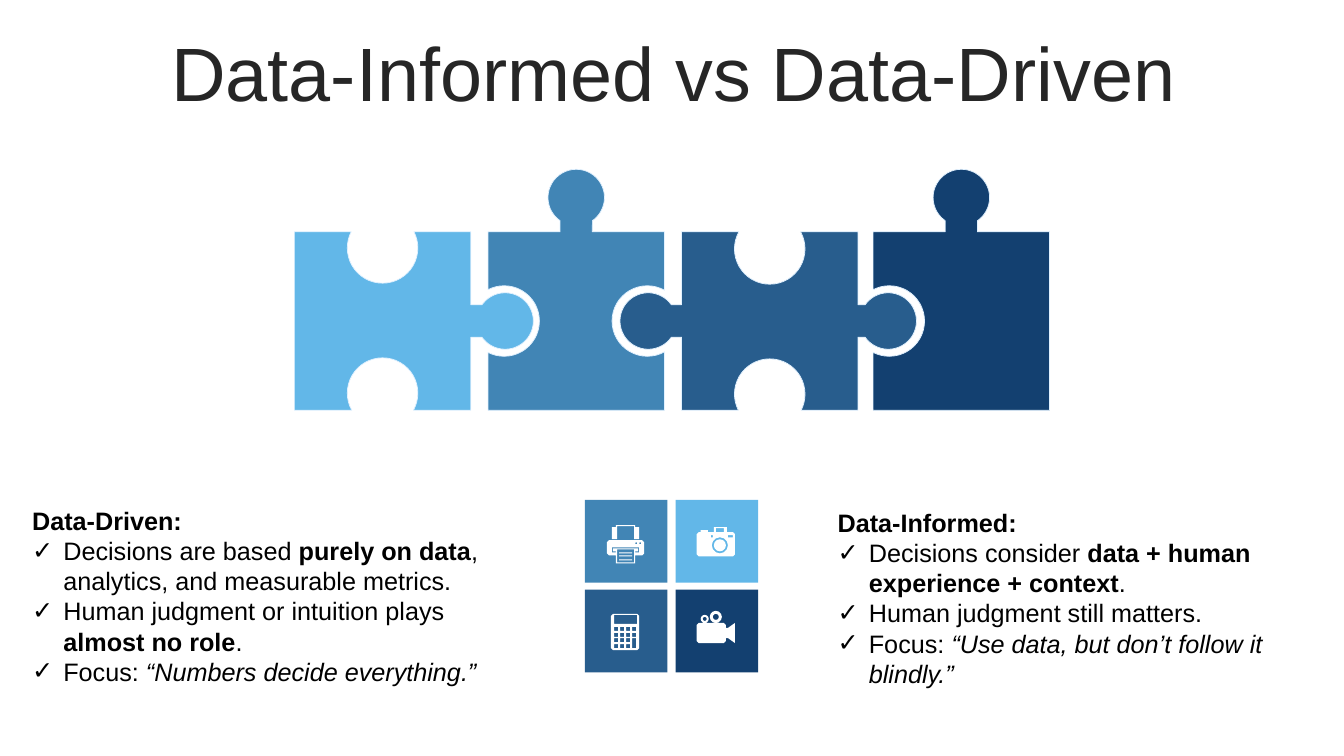
from math import asin, cos, degrees, pi, sin, sqrt
from lxml.etree import SubElement
from pptx import Presentation
from pptx.dml.color import RGBColor
from pptx.enum.shapes import MSO_SHAPE
from pptx.enum.text import MSO_ANCHOR, MSO_AUTO_SIZE, PP_ALIGN
from pptx.oxml.ns import qn
from pptx.util import Inches, Pt

FONT = "Arial"
TITLE = "Data-Informed vs Data-Driven"
SKY, STEEL, DENIM, NAVY = "62B7E8", "4185B5", "285D8D", "134070"
WHITE, EDGE = "FFFFFF", "E1F1FF"

# Heading, box (left, top, width, height), bullets as runs of (text, style)
NOTES = [
    ("Data-Driven:", (0.22, 4.96, 4.89, 2.22), [
        [("Decisions are based ", ""), ("purely on data", "b"),
         (", analytics, and measurable metrics.", "")],
        [("Human judgment or intuition plays ", ""), ("almost no role", "b"), (".", "")],
        [("Focus: ", ""), ("“Numbers decide everything.”", "i")],
    ]),
    ("Data-Informed:", (8.21, 4.98, 4.74, 2.22), [
        [("Decisions consider ", ""), ("data + human experience + context", "b"), (".", "")],
        [("Human judgment still matters.", "")],
        [("Focus: ", ""), ("“Use data, but don’t follow it blindly.”", "i")],
    ]),
]

# Left edge, colour, knob centre beyond the top, right, bottom and left side:
# positive is a tab, negative a socket, zero a plain side
PIECES = [
    (2.92, SKY, (-0.16, 0.34, -0.17, 0)),
    (4.84, STEEL, (0.34, -0.17, 0, -0.16)),
    (6.76, DENIM, (-0.17, 0.3, -0.16, 0.33)),
    (8.66, NAVY, (0.34, 0, 0, -0.16)),
]
PIECE_TOP, PIECE_W, PIECE_H = 2.3, 1.75, 1.77
TAB_R, SOCKET_R, NECK = 0.28, 0.35, 0.16

# Outlines inside a tile: (x, y, radius) is a disc, (left, top, width, height)
# a box, a list a polygon; an outline within another is a hole
PRINTER = [
    [(0.31, 0.25), (0.5, 0.25), (0.5, 0.27), (0.54, 0.27), (0.54, 0.39), (0.49, 0.39),
     (0.49, 0.26), (0.32, 0.26), (0.32, 0.39), (0.27, 0.39), (0.27, 0.27), (0.31, 0.27)],
    [(0.24, 0.4), (0.57, 0.4), (0.59, 0.42), (0.59, 0.53), (0.57, 0.55), (0.5, 0.55),
     (0.5, 0.63), (0.31, 0.63), (0.31, 0.55), (0.24, 0.55), (0.22, 0.53), (0.22, 0.42)],
    [(0.27, 0.47), (0.54, 0.47), (0.54, 0.52), (0.5, 0.52), (0.5, 0.51), (0.53, 0.51),
     (0.53, 0.48), (0.28, 0.48), (0.28, 0.51), (0.31, 0.51), (0.31, 0.52), (0.27, 0.52)],
    (0.51, 0.43, 0.01), (0.55, 0.43, 0.01),
    (0.32, 0.49, 0.17, 0.13),
    *[(0.34, top, 0.13, 0.01) for top in (0.52, 0.55, 0.59)],
]
CAMERA = [
    [(0.23, 0.32), (0.57, 0.32), (0.59, 0.34), (0.59, 0.54), (0.57, 0.56), (0.23, 0.56),
     (0.21, 0.54), (0.21, 0.34)],
    (0.25, 0.3, 0.07, 0.02), (0.38, 0.27, 0.13, 0.05), (0.4, 0.28, 0.08, 0.04),
    (0.44, 0.45, 0.08), (0.44, 0.45, 0.06),
    (0.35, 0.35, 0.02, 0.02), (0.52, 0.35, 0.05, 0.02),
]
KEY_ROWS = (0.37, 0.43, 0.48, 0.54)
CALCULATOR = [
    [(0.28, 0.24), (0.52, 0.24), (0.54, 0.26), (0.54, 0.58), (0.52, 0.6), (0.28, 0.6),
     (0.26, 0.58), (0.26, 0.26)],
    (0.29, 0.25, 0.23, 0.09),
    *[(left, top, 0.04, 0.04) for top in KEY_ROWS for left in (0.29, 0.35, 0.41)],
    *[(0.47, top, 0.04, 0.04) for top in KEY_ROWS[:2]],
    (0.47, KEY_ROWS[2], 0.04, 0.1),
]
FILM_CAMERA = [
    [(0.23, 0.33), (0.48, 0.33), (0.5, 0.35), (0.5, 0.38), (0.52, 0.38), (0.59, 0.33),
     (0.59, 0.53), (0.52, 0.48), (0.5, 0.48), (0.5, 0.51), (0.48, 0.53), (0.23, 0.53),
     (0.21, 0.51), (0.21, 0.35)],
    (0.4, 0.27, 0.06), (0.4, 0.27, 0.03), (0.29, 0.29, 0.04), (0.29, 0.29, 0.02),
]
TILES = [[(STEEL, PRINTER), (SKY, CAMERA)], [(DENIM, CALCULATOR), (NAVY, FILM_CAMERA)]]
TILE_LEFT, TILE_TOP, TILE, COLUMN, ROW = 5.8, 4.96, 0.82, 0.9, 0.89


def rgb(colour):
    return RGBColor.from_string(colour)


def paint(shape, colour, edge=None):
    shape.shadow.inherit = False
    shape.fill.solid()
    shape.fill.fore_color.rgb = rgb(colour)
    if edge:
        shape.line.color.rgb = rgb(edge)
        shape.line.width = Pt(0.5)
    else:
        shape.line.fill.background()


def arc(x, y, radius, angles):
    """Points at the angles; all but the first carry (radius, start, sweep)."""
    points = [(x + radius * cos(a), y + radius * sin(a)) for a in angles]
    bends = [(radius, a, b - a) for a, b in zip(angles, angles[1:])]
    return points[:1] + [(*point, bend) for point, bend in zip(points[1:], bends)]


def outline(part):
    """Points of a disc, box or polygon."""
    if isinstance(part, list):
        return part
    if len(part) == 3:
        return arc(*part, [i * pi / 2 for i in range(5)])
    left, top, width, height = part
    right, bottom = left + width, top + height
    return [(left, top), (right, top), (right, bottom), (left, bottom)]


def draw(shapes, outlines, left=0, top=0):
    """One freeform made of closed outlines, with its arcs bent."""
    builder, bends = None, []
    for points in outlines:
        bends += [point[2:] for point in points[1:]]
        spots = [(Inches(left + x), Inches(top + y)) for x, y, *_ in points]
        if builder is None:
            builder = shapes.build_freeform(*spots[0])
        else:
            builder.move_to(*spots[0])
        builder.add_line_segments(spots[1:], close=True)
    shape = builder.convert_to_shape()
    for segment, bend in zip(list(shape._element.iter(qn("a:lnTo"))), bends):
        if bend:
            radius, start, sweep = bend[0]
            curve = segment.makeelement(qn("a:arcTo"), {
                "wR": str(Inches(radius)), "hR": str(Inches(radius)),
                "stAng": str(round(degrees(start) % 360 * 60000)),
                "swAng": str(round(degrees(sweep) * 60000))})
            segment.getparent().replace(segment, curve)
    return shape


def knob(x, y, ux, uy, facing, offset):
    """Tab or socket at the middle (x, y) of a side running along (ux, uy)."""
    if not offset:
        return []
    tab = offset > 0
    radius = TAB_R if tab else SOCKET_R
    opening = NECK if tab else sqrt(radius ** 2 - offset ** 2)
    first = asin(opening / radius)
    turns = (first, pi / 2, pi, 3 * pi / 2, 2 * pi - first)
    angles = [facing + pi + a if tab else facing - a for a in turns]
    curve = arc(x + uy * offset, y - ux * offset, radius, angles)
    if not tab:
        return curve
    return [(x - ux * NECK, y - uy * NECK), *curve, (x + ux * NECK, y + uy * NECK)]


def piece_points(left, offsets):
    right, bottom = left + PIECE_W, PIECE_TOP + PIECE_H
    corners = [(left, PIECE_TOP), (right, PIECE_TOP), (right, bottom), (left, bottom)]
    directions = [(1, 0), (0, 1), (-1, 0), (0, -1)]
    points = []
    for i, ((ux, uy), offset) in enumerate(zip(directions, offsets)):
        (x, y), (next_x, next_y) = corners[i], corners[(i + 1) % 4]
        points.append((x, y))
        points += knob((x + next_x) / 2, (y + next_y) / 2, ux, uy, (i - 1) * pi / 2, offset)
    return points


def add_run(paragraph, text, size, colour, style=""):
    run = paragraph.add_run()
    run.text = text
    run.font.name, run.font.size = FONT, Pt(size)
    run.font.bold, run.font.italic = style == "b", style == "i"
    run.font.color.rgb = rgb(colour)


def add_check_bullet(paragraph):
    properties = paragraph._p.get_or_add_pPr()
    properties.set("marL", str(Inches(0.31)))
    properties.set("indent", str(-Inches(0.31)))
    SubElement(properties, qn("a:buFont")).set("typeface", FONT)
    SubElement(properties, qn("a:buChar")).set("char", "✓")


def main():
    deck = Presentation()
    deck.slide_width, deck.slide_height = Inches(13.33), Inches(7.5)
    slide = deck.slides.add_slide(deck.slide_layouts[5])
    title = slide.shapes.title
    title.left, title.top, title.width, title.height = map(Inches, (0.35, 0.37, 12.66, 0.79))
    title.text_frame.auto_size = MSO_AUTO_SIZE.NONE
    title.text_frame.vertical_anchor = MSO_ANCHOR.MIDDLE
    heading = title.text_frame.paragraphs[0]
    heading.alignment, heading.line_spacing = PP_ALIGN.CENTER, 0.9
    add_run(heading, TITLE, 54, "262626")
    puzzle = slide.shapes.add_group_shape().shapes
    for left, colour, offsets in PIECES:
        paint(draw(puzzle, [piece_points(left, offsets)]), colour, EDGE)
    tiles = slide.shapes.add_group_shape().shapes
    for row, line in enumerate(TILES):
        for column, (colour, icon) in enumerate(line):
            left, top = TILE_LEFT + column * COLUMN, TILE_TOP + row * ROW
            tile = tiles.add_shape(MSO_SHAPE.RECTANGLE, *map(Inches, (left, top, TILE, TILE)))
            paint(tile, colour)
            paint(draw(slide.shapes, map(outline, icon), left, top), WHITE)
    for name, place, bullets in NOTES:
        frame = slide.shapes.add_textbox(*map(Inches, place)).text_frame
        frame.word_wrap, frame.auto_size = True, MSO_AUTO_SIZE.SHAPE_TO_FIT_TEXT
        add_run(frame.paragraphs[0], name, 18, "000000", "b")
        for runs in bullets:
            paragraph = frame.add_paragraph()
            add_check_bullet(paragraph)
            for text, style in runs:
                add_run(paragraph, text, 18, "000000", style)
    deck.save("out.pptx")


if __name__ == "__main__":
    main()
